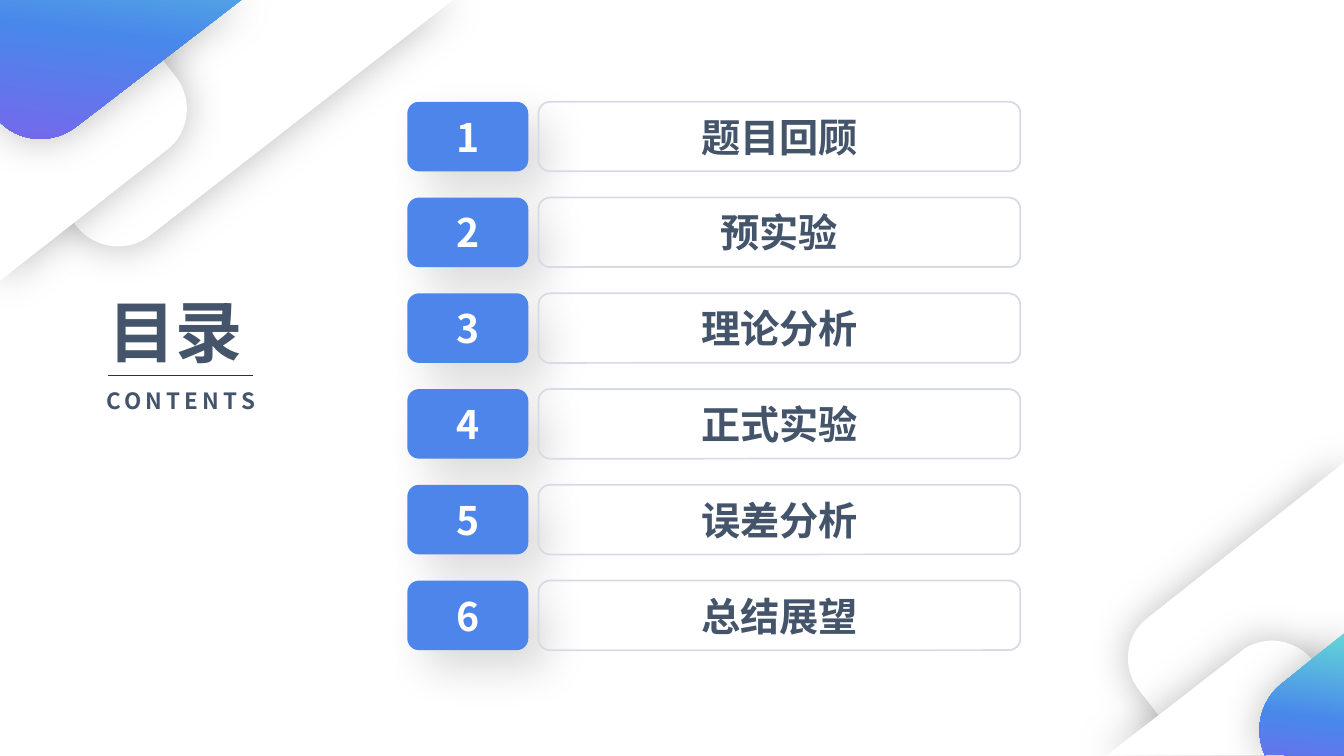
from copy import deepcopy
from math import cos, radians, sin

from lxml import etree
from pptx import Presentation
from pptx.dml.color import RGBColor
from pptx.enum.shapes import MSO_CONNECTOR, MSO_SHAPE
from pptx.enum.text import MSO_ANCHOR, PP_ALIGN
from pptx.oxml.ns import qn
from pptx.util import Inches, Pt

ROUNDED = MSO_SHAPE.ROUNDED_RECTANGLE
STRAIGHT = MSO_CONNECTOR.STRAIGHT
MIDDLE = MSO_ANCHOR.MIDDLE
CENTER = PP_ALIGN.CENTER

FONT = "Noto Sans CJK SC"
WHITE, BLUE, SLATE = "FFFFFF", "4D85EB", "44546A"
WIDTH, HEIGHT = 13.33, 7.5
GRADIENT = [(0, "66DDD5"), (0.53, "4988EB"), (1, "8160EB")]

rgb = RGBColor.from_string


def add_shadow(shape, opacity, blur, distance=0, angle=0):
    """Give the shape a black outer shadow: percent, points, points, degrees."""
    shape.shadow.inherit = False
    effects = shape._element.spPr.find(qn("a:effectLst"))
    shadow = etree.SubElement(
        effects, qn("a:outerShdw"), blurRad=str(Pt(blur)), dist=str(Pt(distance)),
        dir=str(angle * 60000), algn="ctr", rotWithShape="0")
    color = etree.SubElement(shadow, qn("a:srgbClr"), val="000000")
    etree.SubElement(color, qn("a:alpha"), val=str(opacity * 1000))


def write_text(shape, text, size, color, spacing=0):
    """Write one centred bold line; spacing between letters is in points."""
    frame = shape.text_frame
    frame.text = text
    frame.word_wrap = True
    paragraph = frame.paragraphs[0]
    paragraph.alignment = CENTER
    run = paragraph.runs[0]
    run.font.size = Pt(size)
    run.font.bold = True
    run.font.color.rgb = rgb(color)
    run.font.name = FONT
    properties = run._r.get_or_add_rPr()
    etree.SubElement(properties, qn("a:ea"), typeface=FONT)
    if spacing:
        properties.set("spc", str(round(spacing * 100)))


presentation = Presentation()
presentation.slide_width = Inches(WIDTH)
presentation.slide_height = Inches(HEIGHT)
slide = presentation.slides.add_slide(presentation.slide_layouts[6])
shapes = slide.shapes

# Corner panels: centre, rotation, has gradient, outline as seen on the slide.
# In an outline two numbers make a straight side, six make a Bezier curve.
corner_panels = [
    ((1.94, 0.23), 322, False,
     [(0, 0), (4.5, 0), (1.49, 2.34), (1.27, 2.51, 0.95, 2.47, 0.77, 2.25),
      (0, 1.26)]),
    ((0.35, 1.11), 322, False,
     [(0, 0), (1.14, 0), (1.75, 0.76), (1.92, 0.99, 1.88, 1.31, 1.66, 1.48),
      (0, 2.78)]),
    ((0.91, 0.22), 322.2, True,
     [(0, 0), (2.4, 0), (0.76, 1.26), (0.54, 1.43, 0.23, 1.42, 0.03, 1.24),
      (0, 1.21)]),
    ((12.87, 6.43), 322, False,
     [(WIDTH, 4.59), (WIDTH, HEIGHT), (11.79, HEIGHT), (11.29, 6.86),
      (11.11, 6.63, 11.15, 6.31, 11.37, 6.14)]),
    ((12.29, 7.4), 322, False,
     [(12.58, 6.36), (12.74, 6.35, 12.91, 6.42, 13.02, 6.56), (WIDTH, 6.97),
      (WIDTH, HEIGHT), (10.97, HEIGHT), (12.3, 6.47),
      (12.38, 6.4, 12.48, 6.37, 12.58, 6.36)]),
    ((13.1, 7.09), 322.2, True,
     [(WIDTH, 6.29), (WIDTH, HEIGHT), (12.55, HEIGHT), (12.54, 7.5),
      (12.43, 7.26, 12.49, 6.96, 12.71, 6.79)]),
]
for (center_x, center_y), rotation, has_gradient, outline in corner_panels:
    # Turn the outline back, so that the rotated shape shows it as listed.
    cosine, sine = cos(radians(-rotation)), sin(radians(-rotation))
    vertices = []
    for segment in outline:
        for x, y in zip(segment[::2], segment[1::2]):
            dx, dy = x - center_x, y - center_y
            vertices.append((Inches(center_x + dx * cosine - dy * sine),
                             Inches(center_y + dx * sine + dy * cosine)))
    builder = shapes.build_freeform(*vertices[0])
    builder.add_line_segments(vertices[1:], close=True)
    panel = builder.convert_to_shape()
    panel.rotation = rotation

    # Join each three vertices of a curved segment into one Bezier curve.
    sides = iter(panel._element.spPr.findall(".//" + qn("a:lnTo")))
    for segment in outline[1:]:
        side = next(sides)
        if len(segment) == 6:
            side.tag = qn("a:cubicBezTo")
            for extra in (next(sides), next(sides)):
                side.append(extra[0])
                extra.getparent().remove(extra)

    panel.line.fill.background()
    if has_gradient:
        panel.fill.gradient()
        panel.fill.gradient_angle = 225
        stop_list = panel._element.spPr.find(".//" + qn("a:gsLst"))
        stop_list.insert(1, deepcopy(stop_list[0]))
        for stop, (position, color) in zip(panel.fill.gradient_stops, GRADIENT):
            stop.position = position
            stop.color.rgb = rgb(color)
    else:
        panel.fill.solid()
        panel.fill.fore_color.rgb = rgb(WHITE)
    add_shadow(panel, 25, 29)

# Heading
subtitle = shapes.add_textbox(Inches(0.9), Inches(3.79), Inches(1.79), Inches(0.37))
write_text(subtitle, "CONTENTS", 16, SLATE, 3)
title = shapes.add_textbox(Inches(0.47), Inches(2.83), Inches(2.55), Inches(0.91))
write_text(title, "目录", 48, SLATE)
rule = shapes.add_connector(STRAIGHT, Inches(1.07), Inches(3.72), Inches(2.51), Inches(3.72))
rule.line.color.rgb = rgb("27304F")
rule.line.width = Pt(0.5)
etree.SubElement(rule._element.spPr, qn("a:effectLst"))

# Agenda rows
topics = ["题目回顾", "预实验", "理论分析", "正式实验", "误差分析", "总结展望"]
for index, topic in enumerate(topics):
    top = Inches(1.01 + 0.95 * index)

    badge = shapes.add_shape(ROUNDED, Inches(4.04), top, Inches(1.2), Inches(0.69))
    badge.fill.solid()
    badge.fill.fore_color.rgb = rgb(BLUE)
    badge.line.fill.background()
    add_shadow(badge, 14, 32, 19, 45)
    badge.text_frame.vertical_anchor = MIDDLE
    write_text(badge, str(index + 1), 28, WHITE, 2.2)

    bar = shapes.add_shape(ROUNDED, Inches(5.34), top, Inches(4.78), Inches(0.69))
    bar.shadow.inherit = False
    bar.fill.background()
    bar.line.color.rgb = rgb("D6DCE5")
    bar.line.width = Pt(1.25)
    frame = bar.text_frame
    frame.vertical_anchor = MIDDLE
    frame.margin_left = frame.margin_right = Inches(0.06)
    frame.margin_top = frame.margin_bottom = Inches(0.03)
    write_text(bar, topic, 28, SLATE)

presentation.save("out.pptx")
